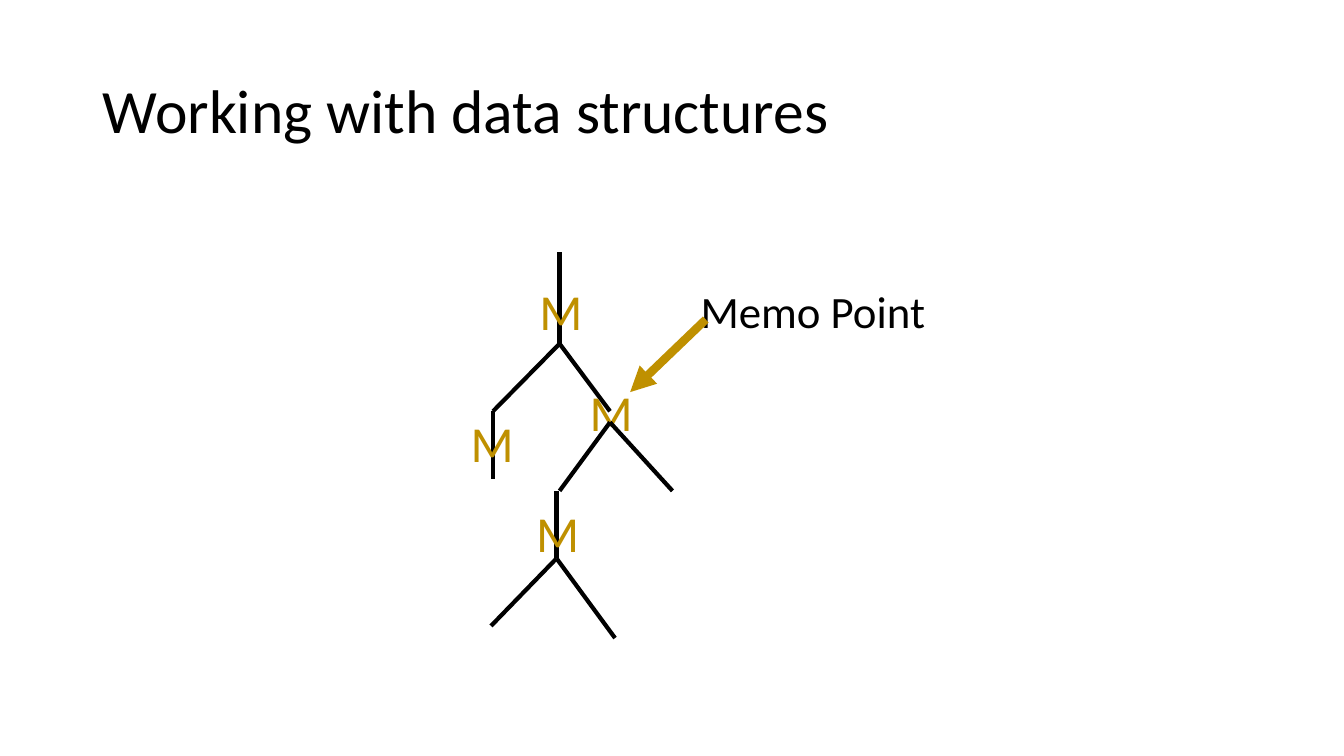
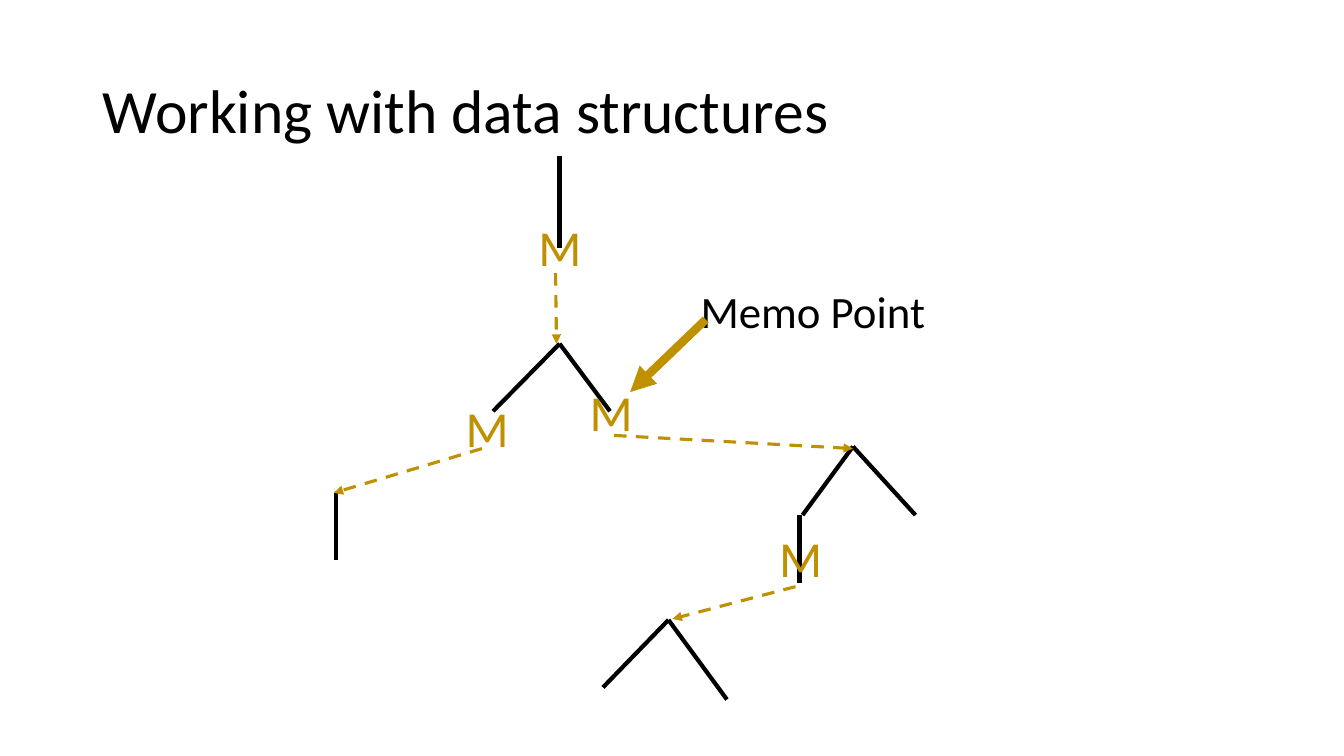
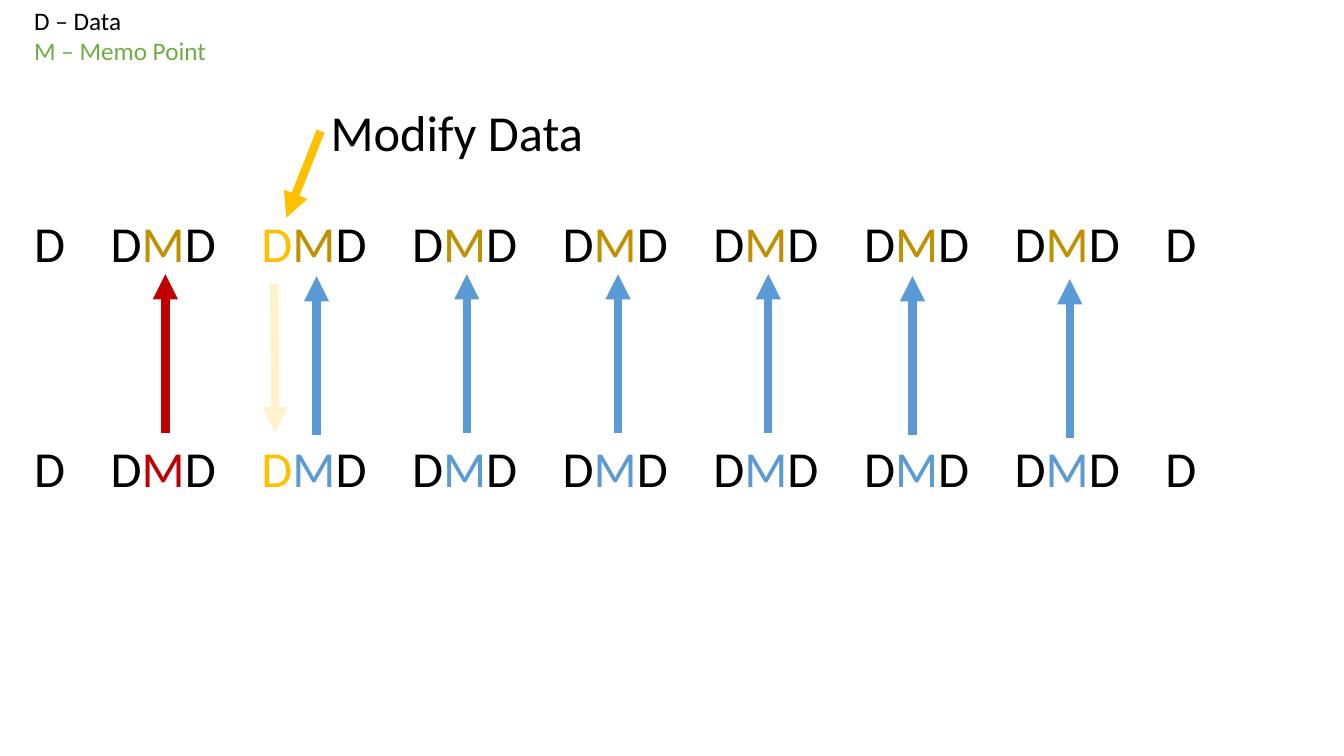
from lxml.etree import SubElement
from pptx import Presentation
from pptx.dml.color import RGBColor
from pptx.enum.dml import MSO_LINE
from pptx.enum.shapes import MSO_CONNECTOR
from pptx.enum.text import MSO_ANCHOR, MSO_AUTO_SIZE, PP_ALIGN
from pptx.oxml.ns import qn
from pptx.util import Inches, Pt

FONT = "Calibri"
BLACK, GOLD, AMBER, PALE = "000000", "BF9000", "FFC000", "FFF2CC"
RED, BLUE, GREEN = "C00000", "5B9BD5", "70AD47"

# Branch offsets of each fork: left end, right end
UPPER = (-0.66, 0.67), (0.5, 0.67)
MIDDLE = (-0.5, 0.68), (0.62, 0.68)
LOWER = (-0.65, 0.67), (0.58, 0.79)

# Data rows: tab stops of the groups after the first D
GROUPS = 7
FIRST, SPAN = 0.76, 10.46
STOPS = [FIRST + SPAN * i / GROUPS for i in range(GROUPS + 1)]


def color(code):
    return RGBColor.from_string(code)


def style(para, size, code=BLACK):
    para.font.name = FONT
    para.font.size = Pt(size)
    para.font.color.rgb = color(code)


def title(slide, text):
    shape = slide.shapes.title
    shape.left, shape.top = Inches(0.92), Inches(0.4)
    shape.width, shape.height = Inches(11.5), Inches(1.45)
    frame = shape.text_frame
    frame.text = text
    frame.auto_size = MSO_AUTO_SIZE.NONE
    frame.vertical_anchor = MSO_ANCHOR.MIDDLE
    para = frame.paragraphs[0]
    para.alignment = PP_ALIGN.LEFT
    para.line_spacing = 0.9
    style(para, 44)


def label(slide, x, y, width, height, lines, size, wrap=True):
    """Text box with one (text, colour) pair a paragraph."""
    box = slide.shapes.add_textbox(
        Inches(x), Inches(y), Inches(width), Inches(height))
    frame = box.text_frame
    frame.word_wrap = wrap
    frame.auto_size = MSO_AUTO_SIZE.SHAPE_TO_FIT_TEXT
    frame.text = "\n".join(text for text, _ in lines)
    for para, (_, code) in zip(frame.paragraphs, lines):
        style(para, size, code)
    return frame


def line(slide, start, end, code=BLACK, width=3, dash=False, head=False):
    link = slide.shapes.add_connector(
        MSO_CONNECTOR.STRAIGHT, *map(Inches, (*start, *end)))
    link.line.color.rgb = color(code)
    link.line.width = Pt(width)
    if dash:
        link.line.dash_style = MSO_LINE.DASH
    props = link._element.spPr
    if head:
        SubElement(props.find(qn("a:ln")), qn("a:tailEnd"), type="triangle")
    SubElement(props, qn("a:effectLst"))


def arrow(slide, start, end, code):
    line(slide, start, end, code, 6, head=True)


def jump(slide, start, end):
    line(slide, start, end, GOLD, 2.25, dash=True, head=True)


def stem(slide, x, y, length=0.67):
    line(slide, (x, y), (x, y + length))


def fork(slide, x, y, ends):
    for dx, dy in ends:
        line(slide, (x, y), (x + dx, y + dy))


def marks(slide, spots):
    for x, y in spots:
        label(slide, x, y, 0.55, 0.71, [("M", GOLD)], 36)


def tree(deck):
    """Slide with the parts that both tree views share."""
    slide = deck.slides.add_slide(deck.slide_layouts[5])
    title(slide, "Working with data structures")
    fork(slide, 5.55, 3.41, UPPER)
    marks(slide, [(5.75, 3.73)])
    label(slide, 6.85, 2.77, 3.32, 0.64, [("Memo Point", BLACK)], 32)
    arrow(slide, (7, 3.17), (6.25, 3.89), GOLD)
    return slide


def joined(deck):
    slide = tree(deck)
    stem(slide, 5.55, 2.5, 0.91)
    stem(slide, 4.89, 4.08)
    fork(slide, 6.05, 4.19, MIDDLE)
    stem(slide, 5.52, 4.87)
    fork(slide, 5.52, 5.54, LOWER)
    marks(slide, [(5.25, 2.73), (4.57, 4.04), (5.22, 4.93)])


def split(deck):
    slide = tree(deck)
    stem(slide, 5.55, 1.55, 0.91)
    stem(slide, 3.33, 4.89)
    fork(slide, 8.46, 4.43, MIDDLE)
    stem(slide, 7.93, 5.11)
    fork(slide, 6.63, 6.15, LOWER)
    marks(slide, [(5.24, 2.09), (4.52, 3.89), (7.63, 5.18)])
    jump(slide, (5.51, 2.71), (5.52, 3.41))
    jump(slide, (4.78, 4.45), (3.31, 4.89))
    jump(slide, (6.09, 4.32), (8.46, 4.45))
    jump(slide, (7.89, 5.82), (6.67, 6.14))


def row(slide, y, memos):
    """Data row; memos holds the colour of each group's M."""
    frame = label(slide, 0.24, y, 12.86, 0.71, [("", BLACK)], 36)
    para = frame.paragraphs[0]
    tabs = SubElement(para._p.get_or_add_pPr(), qn("a:tabLst"))
    para._p.pPr.insert(0, tabs)
    for stop in STOPS:
        SubElement(tabs, qn("a:tab"), pos=str(Inches(stop)), algn="l")
    parts = [("D\t", BLACK)]
    for i, memo in enumerate(memos):
        first = AMBER if i == 1 else BLACK
        parts += [("D", first), ("M", memo), ("D\t", BLACK)]
    for text, code in parts + [("D", BLACK)]:
        run = para.add_run()
        run.text = text
        run.font.color.rgb = color(code)


def change(deck):
    slide = deck.slides.add_slide(deck.slide_layouts[6])
    # Legend and heading
    label(slide, 0.24, 0, 1.92, 0.71,
          [("D – Data", BLACK), ("M – Memo Point", GREEN)], 18, wrap=False)
    label(slide, 3.18, 0.95, 6.26, 0.71, [("Modify Data", BLACK)], 36)
    # Rows before and after
    memos = [RED] + [BLUE] * (GROUPS - 1)
    row(slide, 2.06, [GOLD] * GROUPS)
    row(slide, 4.29, memos)
    # Arrows from each memo point
    tips = [(1.64, 2.72), (3.14, 2.74), (4.63, 2.72), (6.13, 2.72),
            (7.62, 2.72), (9.05, 2.74), (10.61, 2.77)]
    for (x, y), code in zip(tips, memos):
        arrow(slide, (x, y + 1.58), (x, y), code)
    # Path of the modified data
    arrow(slide, (3.18, 1.3), (2.84, 2.16), AMBER)
    arrow(slide, (2.72, 2.82), (2.73, 4.29), PALE)


def main():
    deck = Presentation()
    deck.slide_width, deck.slide_height = Inches(13.33), Inches(7.5)
    joined(deck)
    split(deck)
    change(deck)
    deck.save("out.pptx")


main()
